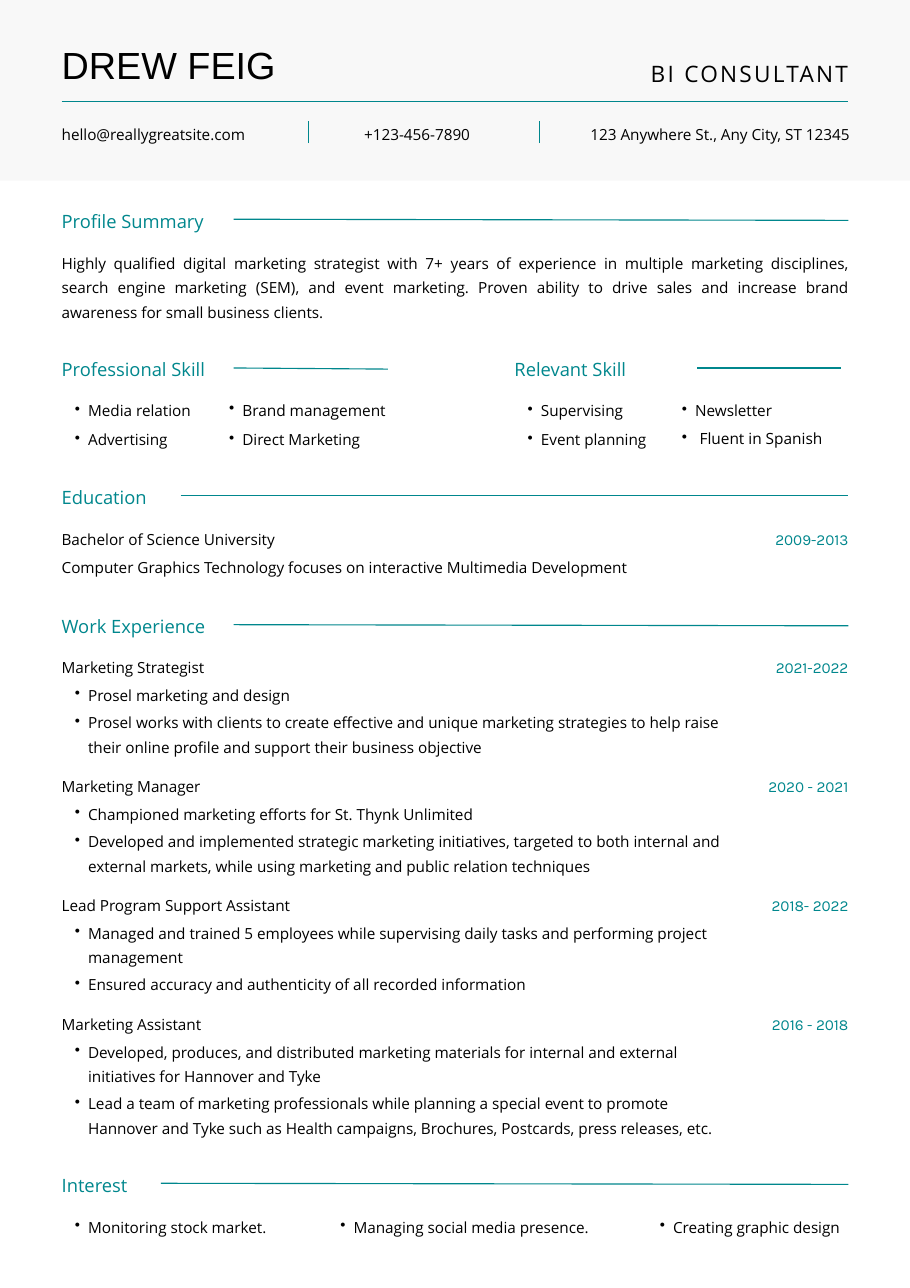
from dataclasses import dataclass

import pptx
import pptx.dml.color
import pptx.enum.shapes
import pptx.enum.text
import pptx.oxml
import pptx.oxml.ns
import pptx.slide
import pptx.util
from pptx.util import Inches

TEAL = pptx.dml.color.RGBColor(0x00, 0x87, 0x8D)
BLACK = pptx.dml.color.RGBColor(0x00, 0x00, 0x00)
BAND_GRAY = pptx.dml.color.RGBColor(0xF8, 0xF8, 0xF8)
ALIGN = pptx.enum.text.PP_ALIGN

WIDTH, HEIGHT = 8.26, 11.69
LEFT, RIGHT = 0.56, 7.7
LINE_HEIGHT, TWO_LINE_HEIGHT, ENTRY_GAP = 0.2, 0.42, 0.05


@dataclass(frozen=True)
class TextStyle:
    size: float = 10
    leading: float = 16
    font: str = "Open Sans"
    color: pptx.dml.color.RGBColor = BLACK
    align: ALIGN = ALIGN.LEFT
    tracking: float = 0
    text_indent: float = 0  # above zero makes a bullet
    bullet_indent: float = 0.12


@dataclass(frozen=True)
class Section:
    title: str
    left: float
    top: float
    width: float
    rule_start: float
    rule_end: float
    rule_drop: float = 0.01


@dataclass(frozen=True)
class Bullet:
    text: str
    left: float
    top: float
    width: float
    style: TextStyle


@dataclass(frozen=True)
class Job:
    title: str
    years: str
    duties: tuple[tuple[str, float], ...]


BODY = TextStyle()
JUSTIFIED = TextStyle(align=ALIGN.JUSTIFY)
HEADING = TextStyle(size=12, leading=16.8, color=TEAL)
YEARS = TextStyle(font="Karla", color=TEAL, align=ALIGN.RIGHT)
BULLET = TextStyle(text_indent=0.24)
LARGE_BULLET = TextStyle(size=10.1, leading=16.2, text_indent=0.24)
WIDE_BULLET = TextStyle(size=10.1, leading=16.2, text_indent=0.28)
NAME = TextStyle(size=24.7, leading=34.6, font="Arial")
ROLE = TextStyle(size=14.8, leading=20.8, align=ALIGN.RIGHT, tracking=1.5)

SECTIONS = (
    Section("Profile Summary", LEFT, 1.87, 1.56, 2.12, RIGHT),
    Section("Professional Skill", LEFT, 3.22, 1.56, 2.12, 3.52),
    Section("Relevant Skill", 4.67, 3.22, 1.56, 6.33, 7.63, 0),
    Section("Education", LEFT, 4.38, 0.94, 1.64, RIGHT, 0),
    Section("Work Experience", LEFT, 5.55, 1.56, 2.12, RIGHT),
    Section("Interest", LEFT, 10.62, 0.89, 1.46, RIGHT),
)

BULLETS = (
    Bullet("Media relation", LEFT, 3.59, 1.29, BULLET),
    Bullet("Advertising", LEFT, 3.85, 1.29, BULLET),
    Bullet("Brand management", 1.96, 3.58, 1.63, LARGE_BULLET),
    Bullet("Direct Marketing", 1.96, 3.85, 1.56, BULLET),
    Bullet("Supervising", 4.67, 3.59, 1.06, BULLET),
    Bullet("Event planning", 4.67, 3.85, 1.29, BULLET),
    Bullet("Newsletter", 6.07, 3.59, 0.99, BULLET),
    Bullet("Fluent in Spanish", 6.07, 3.84, 1.49, WIDE_BULLET),
    Bullet("Monitoring stock market.", LEFT, 11, 2.05, BULLET),
    Bullet("Managing social media presence.", 2.97, 11, 2.54, BULLET),
    Bullet("Creating graphic design", 5.87, 11, 1.84, BULLET),
)

JOBS = (
    Job("Marketing Strategist", "2021-2022", (
        ("Prosel marketing and design", LINE_HEIGHT),
        ("Prosel works with clients to create effective and unique marketing strategies to help raise "
         "their online profile and support their business objective", TWO_LINE_HEIGHT))),
    Job("Marketing Manager", "2020 - 2021", (
        ("Championed marketing efforts for St. Thynk Unlimited", LINE_HEIGHT),
        ("Developed and implemented strategic marketing initiatives, targeted to both internal and "
         "external markets, while using marketing and public relation techniques", TWO_LINE_HEIGHT))),
    Job("Lead Program Support Assistant", "2018- 2022", (
        ("Managed and trained 5 employees while supervising daily tasks and performing project "
         "management", TWO_LINE_HEIGHT),
        ("Ensured accuracy and authenticity of all recorded information", LINE_HEIGHT))),
    Job("Marketing Assistant", "2016 - 2018", (
        ("Developed, produces, and distributed marketing materials for internal and external "
         "initiatives for Hannover and Tyke", TWO_LINE_HEIGHT),
        ("Lead a team of marketing professionals while planning a special event to promote "
         "Hannover and Tyke such as Health campaigns, Brochures, Postcards, press releases, etc.",
         TWO_LINE_HEIGHT))),
)
FIRST_JOB_TOP, JOB_PITCH = 5.92, 1.08

SUMMARY = (
    "Highly qualified digital marketing strategist with 7+ years of experience in multiple marketing "
    "disciplines, search engine marketing (SEM), and event marketing. Proven ability to drive sales "
    "and increase brand awareness for small business clients."
)


def set_attributes(target: object, values: dict[str, object]) -> None:
    for name, value in values.items():
        setattr(target, name, value)


def add_text(slide: pptx.slide.Slide, text: str, left: float, top: float, width: float,
             height: float = LINE_HEIGHT, style: TextStyle = BODY) -> None:
    shape = slide.shapes.add_textbox(Inches(left), Inches(top), Inches(width), Inches(height))
    set_attributes(shape.text_frame, {
        "margin_left": 0, "margin_top": 0, "margin_right": 0, "margin_bottom": 0,
        "word_wrap": True, "auto_size": pptx.enum.text.MSO_AUTO_SIZE.SHAPE_TO_FIT_TEXT,
    })
    paragraph = shape.text_frame.paragraphs[0]
    if style.text_indent:
        properties = paragraph._p.get_or_add_pPr()
        properties.set("marL", str(Inches(style.text_indent)))
        properties.set("indent", str(Inches(style.bullet_indent - style.text_indent)))
        bullet = pptx.oxml.parse_xml(f'<a:buChar {pptx.oxml.ns.nsdecls("a")} char="•"/>')
        properties.append(bullet)
    set_attributes(paragraph, {
        "alignment": style.align, "line_spacing": pptx.util.Pt(style.leading),
        "level": 1 if style.text_indent else 0,
    })
    run = paragraph.add_run()
    run.text = text
    set_attributes(run.font, {"size": pptx.util.Pt(style.size), "name": style.font})
    run.font.color.rgb = style.color
    if style.tracking:
        run._r.get_or_add_rPr().set("spc", str(round(style.tracking * 100)))


def add_rule(slide: pptx.slide.Slide, x1: float, y1: float, x2: float, y2: float) -> None:
    connector = slide.shapes.add_connector(
        pptx.enum.shapes.MSO_CONNECTOR.STRAIGHT, Inches(x1), Inches(y1), Inches(x2), Inches(y2))
    connector.line.color.rgb = TEAL
    connector.line.width = pptx.util.Pt(0.75)
    connector._element.spPr.append(
        pptx.oxml.parse_xml(f'<a:effectLst {pptx.oxml.ns.nsdecls("a")}/>'))


def add_entry_header(slide: pptx.slide.Slide, title: str, years: str, top: float) -> None:
    add_text(slide, title, LEFT, top, 2.26, style=JUSTIFIED)
    add_text(slide, years, 6.79, top, 0.91, style=YEARS)


def add_header(slide: pptx.slide.Slide) -> None:
    band = slide.shapes.add_shape(
        pptx.enum.shapes.MSO_SHAPE.RECTANGLE, 0, 0, Inches(WIDTH), Inches(1.64))
    band.shadow.inherit = False
    band.fill.solid()
    band.fill.fore_color.rgb = BAND_GRAY
    band.line.fill.background()
    add_rule(slide, LEFT, 0.92, RIGHT, 0.92)
    for x in (2.8, 4.9):
        add_rule(slide, x, 1.3, x, 1.1)
    add_text(slide, "DREW FEIG", LEFT, 0.31, 2.7, 0.46, NAME)
    add_text(slide, "BI CONSULTANT", 4.75, 0.5, 2.95, 0.27, ROLE)
    for text, left, width, align in (
        ("hello@reallygreatsite.com", LEFT, 1.78, ALIGN.LEFT),
        ("+123-456-7890", 3.24, 1.09, ALIGN.CENTER),
        ("123 Anywhere St., Any City, ST 12345", 5.22, 2.49, ALIGN.RIGHT),
    ):
        add_text(slide, text, left, 1.11, width, 0.18, TextStyle(leading=14, align=align))


def main() -> None:
    presentation = pptx.Presentation()
    set_attributes(presentation, {"slide_width": Inches(WIDTH), "slide_height": Inches(HEIGHT)})
    slide = presentation.slides.add_slide(presentation.slide_layouts[6])
    add_header(slide)

    # Section headings with their rules
    for section in SECTIONS:
        add_text(slide, section.title, section.left, section.top, section.width, 0.22, HEADING)
        rule_top = section.top + 0.12
        add_rule(slide, section.rule_start, rule_top, section.rule_end, rule_top + section.rule_drop)

    # Summary, skills, interests and education
    add_text(slide, SUMMARY, LEFT, 2.25, 7.14, 0.64, JUSTIFIED)
    for item in BULLETS:
        add_text(slide, item.text, item.left, item.top, item.width, style=item.style)
    add_entry_header(slide, "Bachelor of Science University", "2009-2013", 4.76)
    add_text(slide, "Computer Graphics Technology focuses on interactive Multimedia Development",
             LEFT, 5.01, 5.39)

    # Work experience
    for index, job in enumerate(JOBS):
        top = FIRST_JOB_TOP + index * JOB_PITCH
        add_entry_header(slide, job.title, job.years, top)
        top += LINE_HEIGHT + ENTRY_GAP
        for duty, height in job.duties:
            add_text(slide, duty, LEFT, top, 6.04, height, BULLET)
            top += height + ENTRY_GAP

    presentation.save("out.pptx")


if __name__ == "__main__":
    main()
